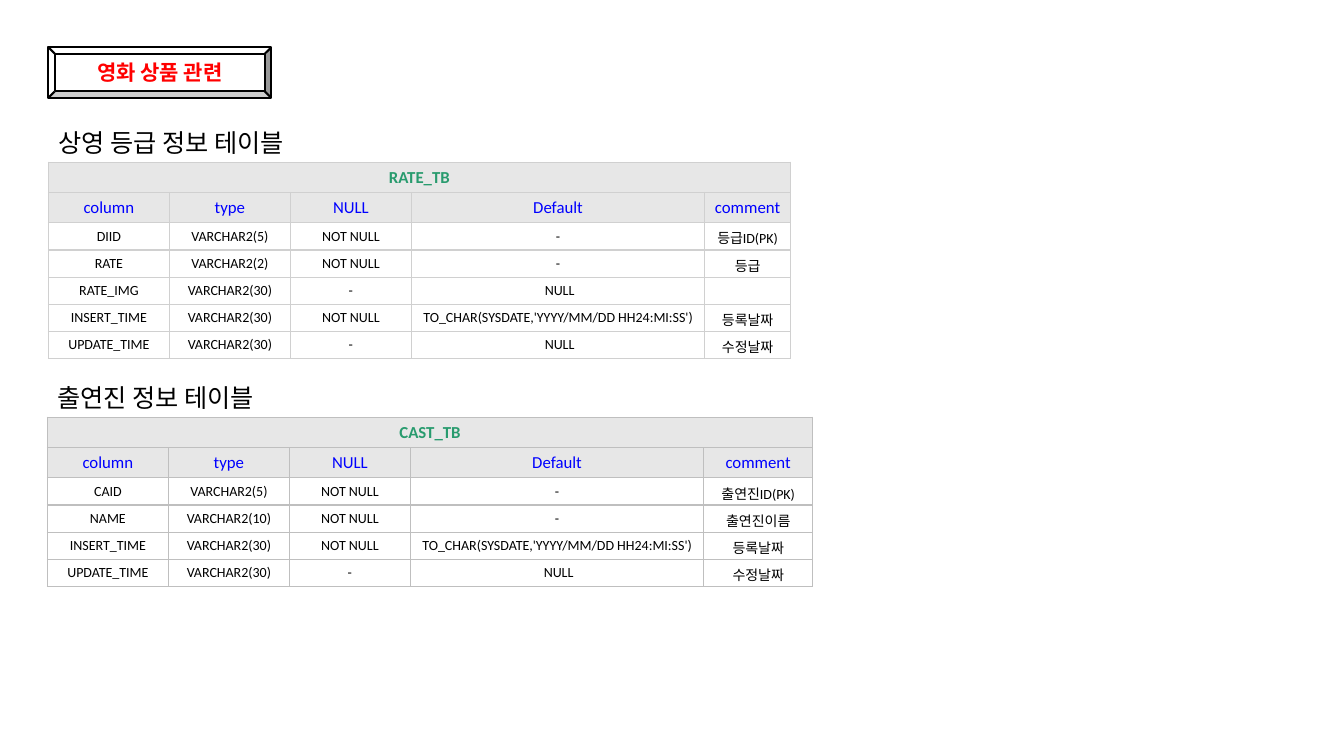
"""Build a slide that describes the rating and cast database tables."""
import pptx
import pptx.dml.color
import pptx.enum.shapes
import pptx.enum.text
import pptx.oxml
import pptx.oxml.ns
import pptx.util
from pptx.util import Inches

FONT = "Calibri"
COLORS = {
    "white": "FFFFFF", "black": "000000", "red": "FF0000",
    "green": "289B6E", "blue": "0000FF", "header": "E7E7E7",
}
HEADING = "영화 상품 관련"
HEADERS = ("column", "type", "NULL", "Default", "comment")
TIMESTAMP = "TO_CHAR(SYSDATE,'YYYY/MM/DD HH24:MI:SS')"
TIME_ROWS = [
    ("INSERT_TIME", "VARCHAR2(30)", "NOT NULL", TIMESTAMP, "등록날짜"),
    ("UPDATE_TIME", "VARCHAR2(30)", "-", " NULL", "수정날짜"),
]
TABLES = [
    {
        "caption": "상영 등급 정보 테이블", "name": "RATE_TB",
        "left": 0.48, "top": 1.21, "comment_width": 0.85, "border": "D0D0D0",
        "rows": [
            ("DIID", "VARCHAR2(5)", "NOT NULL", "-", "등급ID(PK)"),
            ("RATE", "VARCHAR2(2)", "NOT NULL", "-", "등급"),
            ("RATE_IMG", "VARCHAR2(30)", "-", " NULL", ""),
        ] + TIME_ROWS,
    },
    {
        "caption": "출연진 정보 테이블", "name": "CAST_TB",
        "left": 0.47, "top": 3.74, "comment_width": 1.08, "border": "BFBFBF",
        "rows": [
            ("CAID", "VARCHAR2(5)", "NOT NULL", "-", "출연진ID(PK)"),
            ("NAME", "VARCHAR2(10)", "NOT NULL", "-", "출연진이름"),
        ] + TIME_ROWS,
    },
]
COLUMN_WIDTHS = (1.2, 1.2, 1.2, 2.91)
CAPTION_WIDTH, CAPTION_HEIGHT = 2.98, 0.4
HEADER_HEIGHT, BODY_HEIGHT = 0.3, 0.27


def rgb(value):
    return pptx.dml.color.RGBColor.from_string(value)


def write(frame, text, size, color, bold=False, centered=True):
    para = frame.paragraphs[0]
    para.font.name = FONT
    para.font.size = pptx.util.Pt(size)
    para.font.bold = bold
    para.font.color.rgb = rgb(COLORS[color])
    if centered:
        para.alignment = pptx.enum.text.PP_ALIGN.CENTER
    if text:
        para.add_run().text = text
    else:
        end = pptx.oxml.parse_xml(
            f'<a:endParaRPr {pptx.oxml.ns.nsdecls("a")} sz="{size * 100}"/>')
        para._p.append(end)


def add_borders(cell, color):
    properties = cell._tc.get_or_add_tcPr()
    for index, side in enumerate("LRTB"):
        properties.insert(index, pptx.oxml.parse_xml(
            f'<a:ln{side} {pptx.oxml.ns.nsdecls("a")} w="12700"><a:solidFill>'
            f'<a:srgbClr val="{color}"/></a:solidFill></a:ln{side}>'))


def add_heading(page):
    bevel = page.shapes.add_shape(
        pptx.enum.shapes.MSO_SHAPE.BEVEL,
        Inches(0.48), Inches(0.47), Inches(2.21), Inches(0.5))
    bevel.shadow.inherit = False
    bevel.fill.solid()
    bevel.fill.fore_color.rgb = rgb(COLORS["white"])
    bevel.line.color.rgb = rgb(COLORS["black"])
    bevel.line.width = pptx.util.Pt(1.5)
    bevel.text_frame.vertical_anchor = pptx.enum.text.MSO_ANCHOR.MIDDLE
    write(bevel.text_frame, HEADING, 15, "red", bold=True)


def add_caption(page, entry):
    box = page.shapes.add_textbox(
        Inches(entry["left"]), Inches(entry["top"]),
        Inches(CAPTION_WIDTH), Inches(CAPTION_HEIGHT))
    box.text_frame.word_wrap = True
    box.text_frame.auto_size = pptx.enum.text.MSO_AUTO_SIZE.SHAPE_TO_FIT_TEXT
    write(box.text_frame, entry["caption"], 18, "black", centered=False)


def add_definition(page, entry):
    rows = [(entry["name"],), HEADERS] + entry["rows"]
    widths = COLUMN_WIDTHS + (entry["comment_width"],)
    heights = [HEADER_HEIGHT] * 2 + [BODY_HEIGHT] * len(entry["rows"])
    table = page.shapes.add_table(
        len(rows), len(widths),
        Inches(entry["left"]), Inches(entry["top"] + CAPTION_HEIGHT),
        Inches(sum(widths)), Inches(sum(heights))).table
    table.first_row = False
    table.horz_banding = False
    for column, width in zip(table.columns, widths):
        column.width = Inches(width)
    for row, height in zip(table.rows, heights):
        row.height = Inches(height)
    table.cell(0, 0).merge(table.cell(0, len(widths) - 1))
    for row_index, row in enumerate(table.rows):
        size, color = (12, "green") if row_index == 0 else (
            (12, "blue") if row_index == 1 else (10, "black"))
        for cell in row.cells:
            cell.fill.solid()
            cell.fill.fore_color.rgb = rgb(
                COLORS["header" if row_index < 2 else "white"])
            cell.vertical_anchor = pptx.enum.text.MSO_ANCHOR.MIDDLE
            add_borders(cell, entry["border"])
        for cell, text in zip(row.cells, rows[row_index]):
            write(cell.text_frame, text, size, color, bold=row_index == 0)


def main():
    deck = pptx.Presentation()
    deck.slide_width, deck.slide_height = Inches(13.33), Inches(7.5)
    page = deck.slides.add_slide(deck.slide_layouts.get_by_name("Blank"))
    add_heading(page)
    for entry in TABLES:
        add_caption(page, entry)
        add_definition(page, entry)
    deck.save("out.pptx")


if __name__ == "__main__":
    main()
